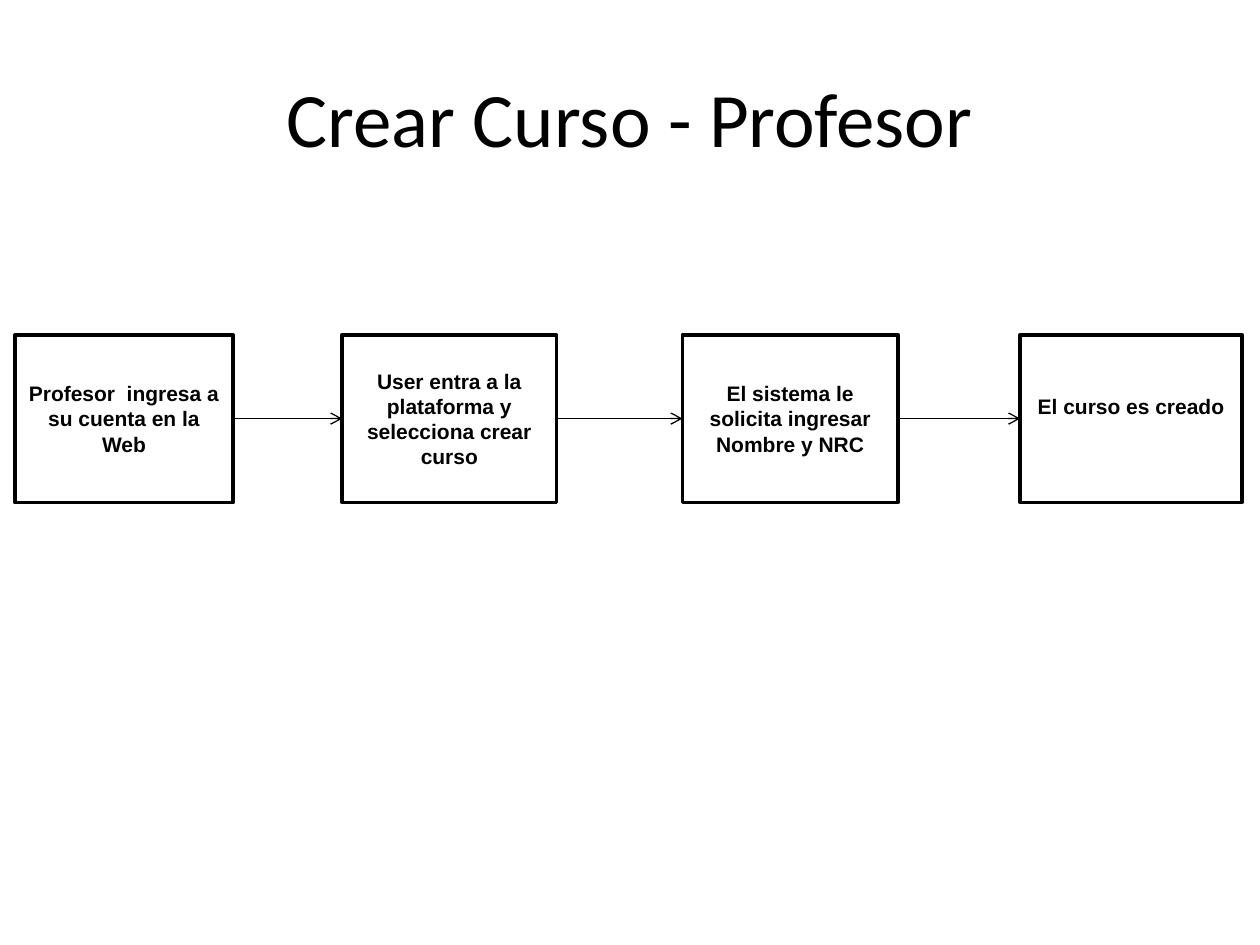
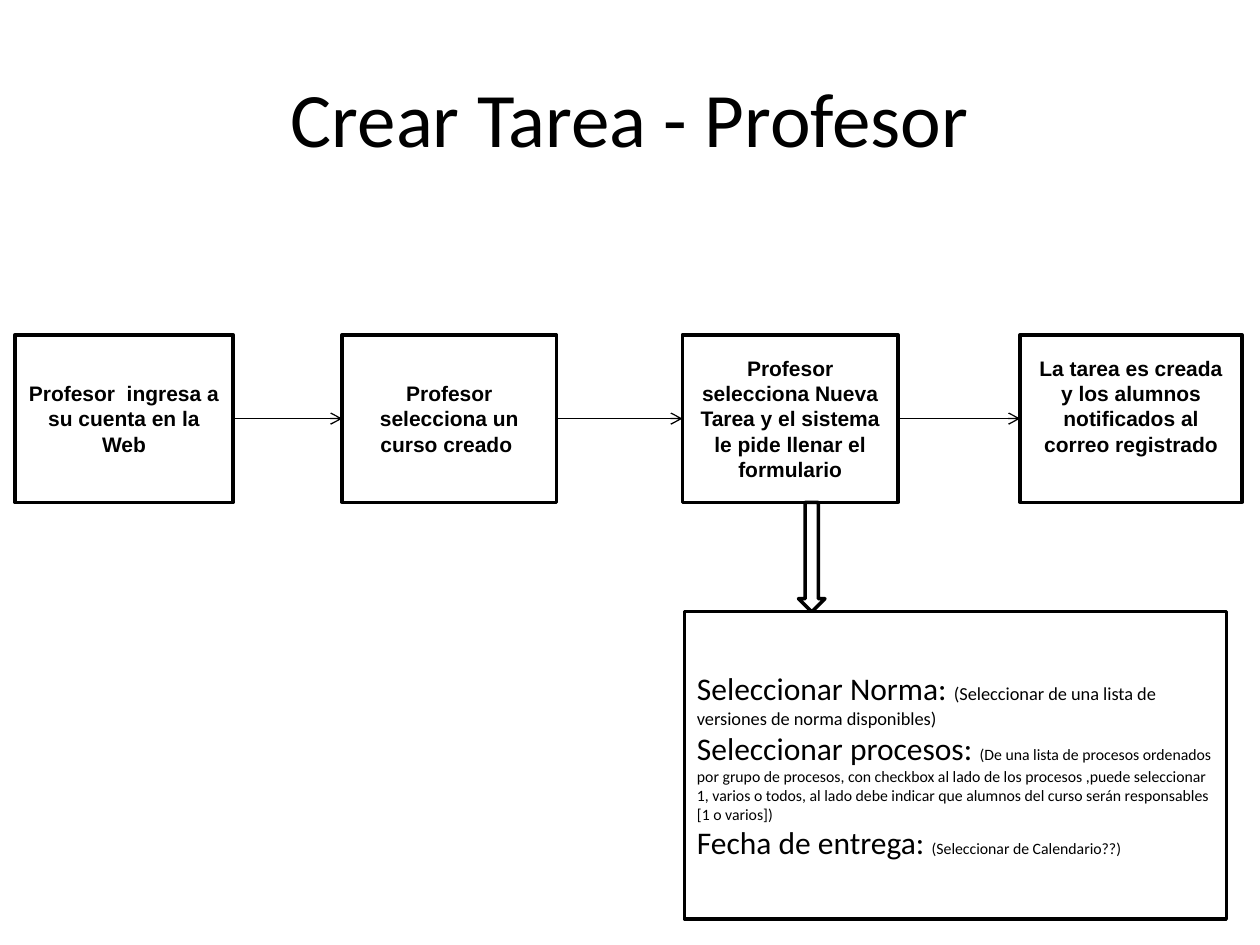
from dataclasses import dataclass

from lxml import etree
from pptx import Presentation
from pptx.dml.color import RGBColor
from pptx.enum.shapes import MSO_CONNECTOR, MSO_SHAPE
from pptx.enum.text import MSO_ANCHOR, PP_ALIGN
from pptx.oxml.ns import qn
from pptx.util import Pt

RECTANGLE = MSO_SHAPE.RECTANGLE
DOWN_ARROW = MSO_SHAPE.DOWN_ARROW
STRAIGHT = MSO_CONNECTOR.STRAIGHT
MIDDLE = MSO_ANCHOR.MIDDLE
LEFT, CENTER = PP_ALIGN.LEFT, PP_ALIGN.CENTER
LEFT_SITE, RIGHT_SITE = 1, 3
TITLE_ONLY = 5


@dataclass(frozen=True)
class Theme:
    ink: RGBColor = RGBColor(0, 0, 0)
    paper: RGBColor = RGBColor(255, 255, 255)
    heading_font: str = "Calibri"
    step_font: str = "Arial"
    title_size: float = 44
    step_size: float = 12
    field_size: float = 18
    hint_size: float = 10.5
    small_hint_size: float = 9
    outline: float = 2
    connector: float = 0.75


STEP_TOP, STEP_HEIGHT = 191.3, 95.8
STEP_COLUMNS = [(8.6, 124.6), (195.6, 122.4), (390, 123.1), (583, 126.7)]
LAST_STEP_INSET = 18


def add_span(para, text, *, font, size, color, bold=False):
    span = para.add_run()
    span.text = text
    span.font.name = font
    span.font.size = Pt(size)
    span.font.bold = bold
    span.font.color.rgb = color


class FlowDeck:
    def __init__(self, theme):
        self.theme = theme
        self.deck = Presentation()
        self.deck.slide_width = Pt(720)
        self.deck.slide_height = Pt(540)
        self.page = None

    def new_page(self, title):
        self.page = self.deck.slides.add_slide(self.deck.slide_layouts[TITLE_ONLY])
        box = self.page.shapes.title
        box.left, box.top, box.width, box.height = Pt(36), Pt(21.6), Pt(648), Pt(90)
        box.text_frame.vertical_anchor = MIDDLE
        para = box.text_frame.paragraphs[0]
        para.alignment = CENTER
        add_span(para, title, font=self.theme.heading_font,
                 size=self.theme.title_size, color=self.theme.ink)

    def outlined(self, kind, left, top, width, height):
        box = self.page.shapes.add_shape(kind, Pt(left), Pt(top), Pt(width), Pt(height))
        box.shadow.inherit = False
        box.fill.solid()
        box.fill.fore_color.rgb = self.theme.paper
        box.line.color.rgb = self.theme.ink
        box.line.width = Pt(self.theme.outline)
        box.text_frame.word_wrap = True
        box.text_frame.vertical_anchor = MIDDLE
        return box

    def step(self, left, width, text):
        box = self.outlined(RECTANGLE, left, STEP_TOP, width, STEP_HEIGHT)
        para = box.text_frame.paragraphs[0]
        para.alignment = CENTER
        add_span(para, text, font=self.theme.step_font, size=self.theme.step_size,
                 color=self.theme.ink, bold=True)
        return box

    def arrow(self, start, end):
        line = self.page.shapes.add_connector(STRAIGHT, 0, 0, 0, 0)
        line.begin_connect(start, RIGHT_SITE)
        line.end_connect(end, LEFT_SITE)
        line.line.color.rgb = self.theme.ink
        line.line.width = Pt(self.theme.connector)
        etree.SubElement(line.line._get_or_add_ln(), qn("a:tailEnd"), type="arrow")
        etree.SubElement(line._element.spPr, qn("a:effectLst"))

    def flow(self, texts):
        steps = [self.step(left, width, text)
                 for (left, width), text in zip(STEP_COLUMNS, texts)]
        steps[-1].text_frame.margin_bottom = Pt(LAST_STEP_INSET)
        for start, end in zip(steps, steps[1:]):
            self.arrow(start, end)

    def form(self, left, top, width, height, fields):
        frame = self.outlined(RECTANGLE, left, top, width, height).text_frame
        for index, (label, hint, hint_size) in enumerate(fields):
            para = frame.add_paragraph() if index else frame.paragraphs[0]
            para.alignment = LEFT
            for text, size in ((label, self.theme.field_size), (hint, hint_size)):
                add_span(para, text, font=self.theme.heading_font, size=size,
                         color=self.theme.ink)


def main():
    theme = Theme()
    flows = FlowDeck(theme)
    sign_in = "Profesor  ingresa a su cuenta en la Web"

    flows.new_page("Crear Curso - Profesor")
    flows.flow([
        sign_in,
        "User entra a la plataforma y selecciona crear curso",
        "El sistema le solicita ingresar Nombre y NRC",
        "El curso es creado",
    ])

    flows.new_page("Crear Tarea - Profesor")
    flows.flow([
        sign_in,
        "Profesor selecciona un curso creado ",
        "Profesor selecciona Nueva Tarea y el sistema le pide llenar el formulario",
        "La tarea es creada y los alumnos notificados al correo registrado",
    ])
    flows.outlined(DOWN_ARROW, 456.3, STEP_TOP + STEP_HEIGHT, 15.1, 62.6)
    flows.form(391.2, 349.4, 309.6, 175.7, [
        ("Seleccionar Norma: ",
         "(Seleccionar de una lista de versiones de norma disponibles)",
         theme.hint_size),
        ("Seleccionar procesos: ",
         "(De una lista de procesos ordenados por grupo de procesos, con checkbox "
         "al lado de los procesos ,puede seleccionar 1, varios o todos, al lado debe "
         "indicar que alumnos del curso serán responsables [1 o varios])",
         theme.small_hint_size),
        ("Fecha de entrega: ", "(Seleccionar de Calendario??)", theme.small_hint_size),
    ])

    flows.deck.save("out.pptx")


if __name__ == "__main__":
    main()
